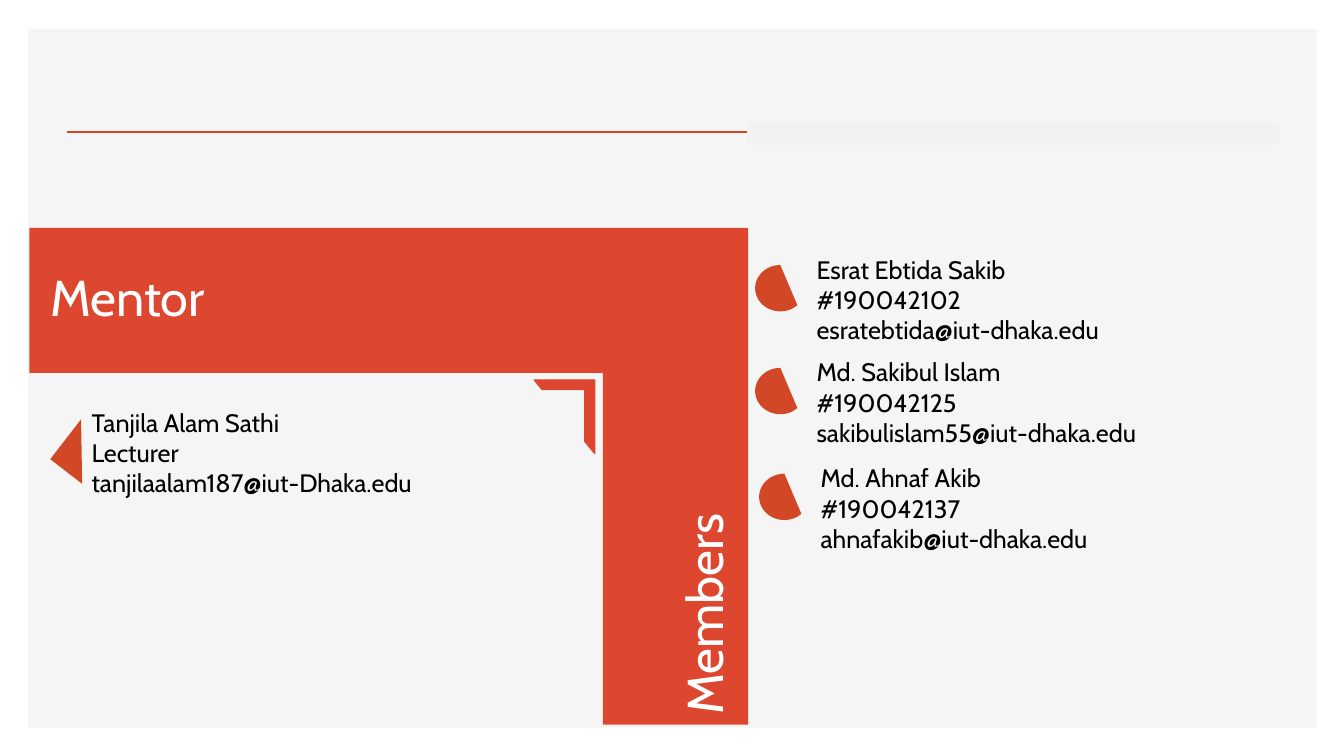
from pptx import Presentation
from pptx import util as u
from pptx.dml.color import RGBColor
from pptx.enum import shapes, text
from pptx.oxml.ns import qn
from lxml import etree

FONT = "Cabin"
RED, ORANGE = "DD462F", "D24726"
WHITE, BLACK = "FFFFFF", "000000"
PANEL_GREY, STRIP_GREY = "F5F5F5", "F2F2F2"
PRESET = shapes.MSO_SHAPE

MENTOR = ["Tanjila Alam Sathi", "Lecturer", "tanjilaalam187@iut-Dhaka.edu"]
MEMBERS = [
    (7.49, 2.47, 3.25, ["Esrat Ebtida Sakib", "#190042102", "esratebtida@iut-dhaka.edu"]),
    (7.49, 3.49, 3.69, ["Md. Sakibul Islam", "#190042125", "sakibulislam55@iut-dhaka.edu"]),
    (7.53, 4.54, 3.25, ["Md. Ahnaf Akib", "#190042137", "ahnafakib@iut-dhaka.edu"]),
]


def color(value):
    return RGBColor.from_string(value)


def inches(*lengths):
    return [u.Inches(length) for length in lengths]


def add_block(page, preset, box, fill, rotation=0, adjustments=()):
    block = page.shapes.add_shape(preset, *inches(*box))
    block.shadow.inherit = False
    block.fill.solid()
    block.fill.fore_color.rgb = color(fill)
    block.line.fill.background()
    block.rotation = rotation
    for index, value in enumerate(adjustments):
        block.adjustments[index] = value
    return block


def add_text(page, box, lines, size, ink, rotation=0):
    label = page.shapes.add_textbox(*inches(*box))
    label.rotation = rotation
    frame = label.text_frame
    frame.word_wrap = True
    frame.auto_size = text.MSO_AUTO_SIZE.SHAPE_TO_FIT_TEXT
    frame.text = "\n".join(lines)
    for para in frame.paragraphs:
        for span in para.runs:
            span.font.name = FONT
            span.font.size = u.Pt(size)
            span.font.color.rgb = color(ink)


def add_background(page, left, top, width, height):
    add_block(page, PRESET.RECTANGLE, (left, top, width, height), PANEL_GREY)
    # Rule under the empty title area, its right part covered by a pale strip
    rule_y = top + 1.02
    rule = page.shapes.add_connector(
        shapes.MSO_CONNECTOR.STRAIGHT,
        *inches(left + 0.38, rule_y, left + width - 0.39, rule_y))
    rule.line.color.rgb = color(ORANGE)
    rule.line.width = u.Pt(2)
    etree.SubElement(rule._element.spPr, qn("a:effectLst"))
    add_block(page, PRESET.RECTANGLE, (left + 7.13, top + 0.93, 5.27, 0.22), STRIP_GREY)


def add_mentor(page, left, top, width, height):
    # Heading band
    add_block(page, PRESET.RECTANGLE, (left, top, width, height), RED)
    add_text(page, (left + 0.11, top + 0.33, width - 0.2, 0.71), ["Mentor"], 36, WHITE)
    # Contact details with a pointer
    add_text(page, (left + 0.52, top + 1.73, 3.86, 1.01), MENTOR, 18, BLACK)
    add_block(page, PRESET.DIAGONAL_STRIPE, (left + 0.27, top + 2.02, 0.5, 0.4),
              ORANGE, 307.7, [0])


def add_members_band(page, left, top, width, height):
    # The band and its heading are turned about their centres
    middle_x, middle_y = left + width / 2, top + height / 2
    add_block(page, PRESET.RECTANGLE,
              (middle_x - height / 2, middle_y - width / 2, height, width), RED, 90)
    add_text(page, (middle_x - 2.1, middle_y - 0.27, 4.76, 0.71),
             ["Members"], 36, WHITE, 270)
    # Corner bracket inside the angle of the two bands
    bracket = add_block(page, PRESET.HALF_FRAME, (left - 0.68, top + 1.51, 0.6, 0.73),
                        RED, adjustments=[0.157, 0.164])
    bracket.line.color.rgb = color(RED)
    bracket.line.width = u.Pt(1)
    bracket._element.spPr.find(qn("a:xfrm")).set("flipH", "1")


def add_member(page, left, top, width, lines):
    add_block(page, PRESET.CHORD, (left, top + 0.16, 0.5, 0.46), ORANGE)
    add_text(page, (left + 0.51, top, width, 1.01), lines, 18, BLACK)


def main():
    deck = Presentation()
    deck.slide_width, deck.slide_height = inches(13.33, 7.5)
    page = deck.slides.add_slide(deck.slide_layouts[6])
    add_background(page, 0.28, 0.29, 12.78, 6.93)
    add_mentor(page, 0.29, 2.26, 5.69, 1.44)
    add_members_band(page, 5.98, 2.26, 1.44, 4.93)
    for left, top, width, lines in MEMBERS:
        add_member(page, left, top, width, lines)
    deck.save("out.pptx")


if __name__ == "__main__":
    main()
